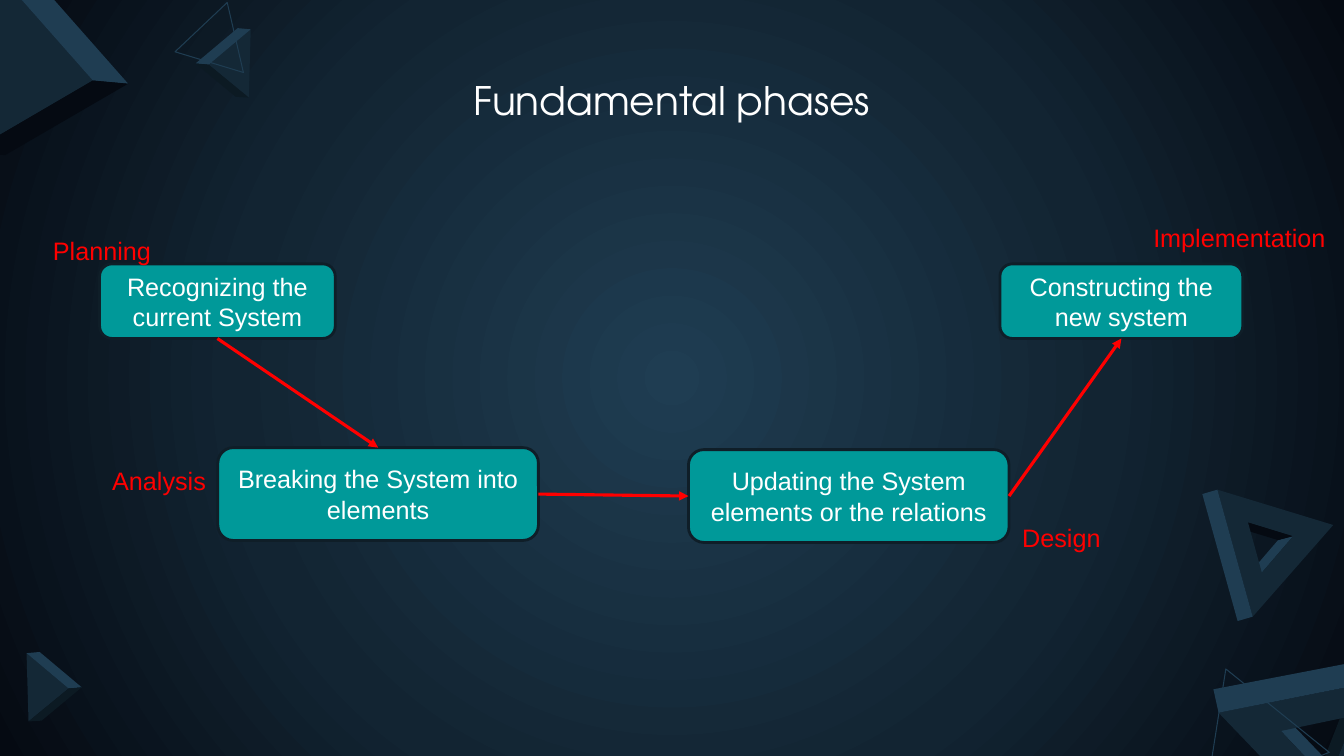
from dataclasses import dataclass

from lxml import etree
from pptx import Presentation
from pptx.dml.color import RGBColor
from pptx.enum.shapes import MSO_CONNECTOR, MSO_SHAPE
from pptx.enum.text import MSO_ANCHOR, PP_ALIGN
from pptx.oxml import parse_xml
from pptx.oxml.ns import nsdecls, qn
from pptx.util import Cm, Pt

ROUNDED = MSO_SHAPE.ROUNDED_RECTANGLE
ELLIPSE = MSO_SHAPE.OVAL
TRIANGLE = MSO_SHAPE.ISOSCELES_TRIANGLE
STRAIGHT = MSO_CONNECTOR.STRAIGHT
CENTER = PP_ALIGN.CENTER
MIDDLE = MSO_ANCHOR.MIDDLE
TOP, LEFT, BOTTOM, RIGHT = range(4)


@dataclass(frozen=True)
class Theme:
    """Colours, fonts and type sizes of the slide."""
    edge: str = "1F3D52"
    face: str = "142836"
    shade: str = "0C1A23"
    night: str = "050A12"
    glow: str = "122432"
    card: str = "009999"
    card_line: str = "0F1E28"
    accent: str = "FF0000"
    white: str = "FFFFFF"
    title_font: str = "TeX Gyre Adventor"
    body_font: str = "Arial"
    title_size: int = 28
    body_size: int = 18


THEME = Theme()

CARDS = [
    ("Recognizing the current System", (2.51, 6.65, 5.94, 1.88)),
    ("Breaking the System into elements", (5.49, 11.28, 8.08, 2.34)),
    ("Updating the System elements or the relations", (17.35, 11.33, 8.08, 2.34)),
    ("Constructing the new system", (25.2, 6.65, 6.12, 1.88)),
]
LABELS = [
    ("Planning", (0.13, 5.69, 4.88, 1.24)),
    ("Analysis", (1.57, 11.48, 4.88, 1.24)),
    ("Design", (24.31, 12.93, 4.88, 1.24)),
    ("Implementation", (27.41, 5.36, 7.65, 1.24)),
]
ARROW_SITES = [(BOTTOM, TOP), (RIGHT, LEFT), (RIGHT, BOTTOM)]

CORNER_FRAME = [
    (THEME.shade, [[(34.01, 17.48), (33.38, 19.1), (33.48, 19.69), (34.14, 18.03)]]),
    (THEME.edge, [[(32.16, 17.83), (32.28, 18.42), (33.48, 19.69), (33.38, 19.1)]]),
    (THEME.face, [[(32.28, 18.42), (34.14, 18.03), (33.48, 19.69)],
                  [(30.71, 17.96), (33.78, 21.16), (35.43, 17.02)]]),
    (THEME.edge, [[(30.58, 17.37), (30.71, 17.96), (35.43, 17.02), (35.31, 16.46)]]),
]
SIDE_FRAME = [
    (THEME.edge, [[(32.59, 13.51), (31.8, 14.43), (31.42, 14.53), (32.21, 13.61)]]),
    (THEME.night, [[(31.45, 13.16), (32.59, 13.51), (32.21, 13.61), (31.06, 13.26)]]),
    (THEME.face, [[(31.45, 13.16), (31.8, 14.43), (32.59, 13.51)],
                  [(30.68, 12.34), (33.6, 13.23), (31.57, 15.54)]]),
    (THEME.edge, [[(30.68, 12.34), (31.57, 15.54), (31.19, 15.65), (30.3, 12.45)]]),
]
LARGE_PRISM = [
    (THEME.face, [[(-0.15, -0.79), (-0.76, 3.84), (2.34, 2.03)]]),
    (THEME.edge, [[(0.74, -0.71), (-0.15, -0.79), (2.34, 2.03), (3.23, 2.11)]]),
    (THEME.night, [[(3.23, 2.11), (2.34, 2.03), (-0.76, 3.84), (0.13, 3.91)]]),
]
SMALL_PRISM = [
    (THEME.face, [[(6.32, 0.74), (6.27, 2.46), (5.26, 1.63)]]),
    (THEME.edge, [[(5.99, 0.71), (6.32, 0.74), (5.26, 1.63), (4.93, 1.6)]]),
    (THEME.shade, [[(4.93, 1.6), (5.26, 1.63), (6.27, 2.46), (5.94, 2.44)]]),
]
WIRE_TRIANGLES = [
    ((29.74, 16.76, 3.35, 2.9), 338.9),
    ((4.6, 0.03, 1.8, 1.57), 16.8),
]


def color(value):
    """Turn a hex string into a colour."""
    return RGBColor.from_string(value)


def style_shape(shape, fill=None, line=None, width=0):
    """Set fill and outline, and drop the shadow."""
    shape.shadow.inherit = False
    if fill:
        shape.fill.solid()
        shape.fill.fore_color.rgb = color(fill)
    else:
        shape.fill.background()
    if line:
        shape.line.color.rgb = color(line)
        shape.line.width = Pt(width)
    else:
        shape.line.fill.background()


def write_text(shape, text, font, size, ink):
    """Write one centred paragraph into a shape."""
    frame = shape.text_frame
    frame.text = text
    frame.word_wrap = True
    frame.vertical_anchor = MIDDLE
    paragraph = frame.paragraphs[0]
    paragraph.alignment = CENTER
    paragraph.font.name = font
    paragraph.font.size = Pt(size)
    paragraph.font.color.rgb = color(ink)


def set_background(slide):
    """Paint a gradient that spreads from the slide's centre."""
    slide.background.fill.solid()
    stops = [(0, THEME.edge), (57, THEME.glow), (100, THEME.night)]
    stop_xml = "".join(
        f'<a:gs pos="{position * 1000}"><a:srgbClr val="{value}"/></a:gs>'
        for position, value in stops)
    gradient = parse_xml(
        f'<a:gradFill {nsdecls("a")} rotWithShape="1"><a:gsLst>{stop_xml}</a:gsLst>'
        '<a:path path="circle"><a:fillToRect l="50000" t="50000" r="50000" b="50000"/>'
        '</a:path></a:gradFill>')
    properties = slide.element.find(".//" + qn("p:bgPr"))
    properties.replace(properties[0], gradient)


def add_title(slide, text):
    """Place and format the title placeholder."""
    title = slide.shapes.title
    title.left, title.top, title.width, title.height = map(Cm, (2.64, 1.96, 28.58, 1.09))
    write_text(title, text, THEME.title_font, THEME.title_size, THEME.white)


def add_preset(slide, kind, box, **style):
    """Add a styled preset shape."""
    shape = slide.shapes.add_shape(kind, *map(Cm, box))
    style_shape(shape, **style)
    return shape


def add_solid(slide, faces, place=lambda x, y: (x, y)):
    """Draw a faceted body, moving each point with place."""
    for fill, contours in faces:
        outlines = [[tuple(map(Cm, place(*point))) for point in contour]
                    for contour in contours]
        builder = slide.shapes.build_freeform(*outlines[0][0])
        for outline in outlines:
            if outline is not outlines[0]:
                builder.move_to(*outline[0])
            builder.add_line_segments(outline[1:], close=True)
        style_shape(builder.convert_to_shape(), fill=fill)


def add_card(slide, text, box):
    """Add a phase card."""
    card = add_preset(slide, ROUNDED, box, fill=THEME.card, line=THEME.card_line, width=2)
    write_text(card, text, THEME.body_font, THEME.body_size, THEME.white)
    return card


def add_label(slide, text, box):
    """Add a phase name."""
    label = add_preset(slide, ELLIPSE, box)
    write_text(label, text, THEME.body_font, THEME.body_size, THEME.accent)


def add_arrow(slide, start, end, start_site, end_site):
    """Join two cards with an arrow."""
    arrow = slide.shapes.add_connector(STRAIGHT, 0, 0, 0, 0)
    arrow.begin_connect(start, start_site)
    arrow.end_connect(end, end_site)
    arrow.line.color.rgb = color(THEME.accent)
    arrow.line.width = Pt(2.25)
    etree.SubElement(arrow.line._get_or_add_ln(), qn("a:tailEnd"), type="triangle")
    etree.SubElement(arrow.element.spPr, qn("a:effectLst"))


def main():
    """Build and save the slide."""
    presentation = Presentation()
    presentation.slide_width, presentation.slide_height = Cm(33.87), Cm(19.05)
    slide = presentation.slides.add_slide(presentation.slide_layouts[5])
    set_background(slide)
    for faces in (CORNER_FRAME, SIDE_FRAME, LARGE_PRISM, SMALL_PRISM):
        add_solid(slide, faces)
    add_solid(slide, SMALL_PRISM, lambda x, y: (6.99 - x, y + 15.72))
    for box, angle in WIRE_TRIANGLES:
        add_preset(slide, TRIANGLE, box, line=THEME.edge, width=0.75).rotation = angle
    add_title(slide, "Fundamental phases")
    cards = [add_card(slide, text, box) for text, box in CARDS]
    for start, end, sites in zip(cards, cards[1:], ARROW_SITES):
        add_arrow(slide, start, end, *sites)
    for text, box in LABELS:
        add_label(slide, text, box)
    presentation.save("out.pptx")


main()
